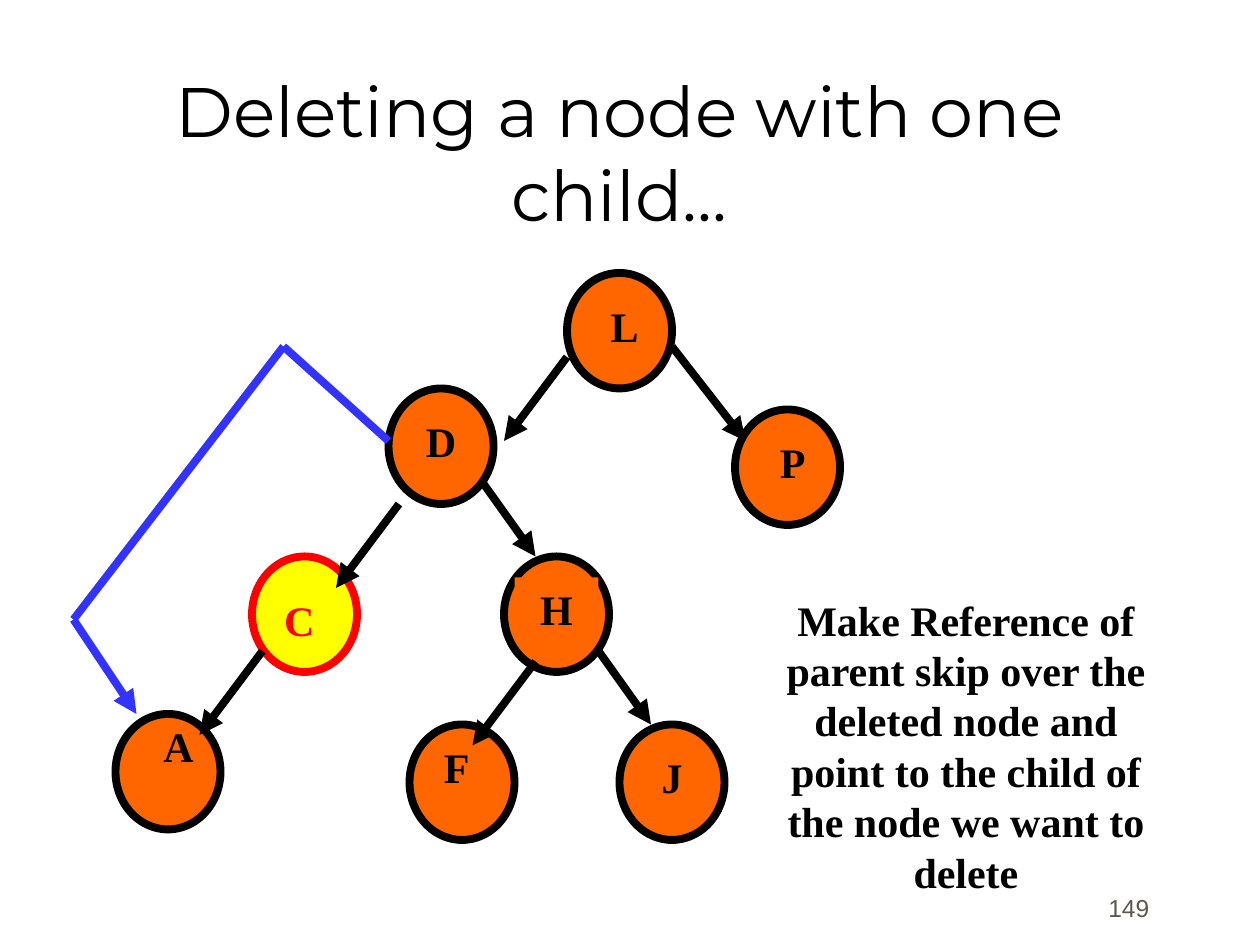
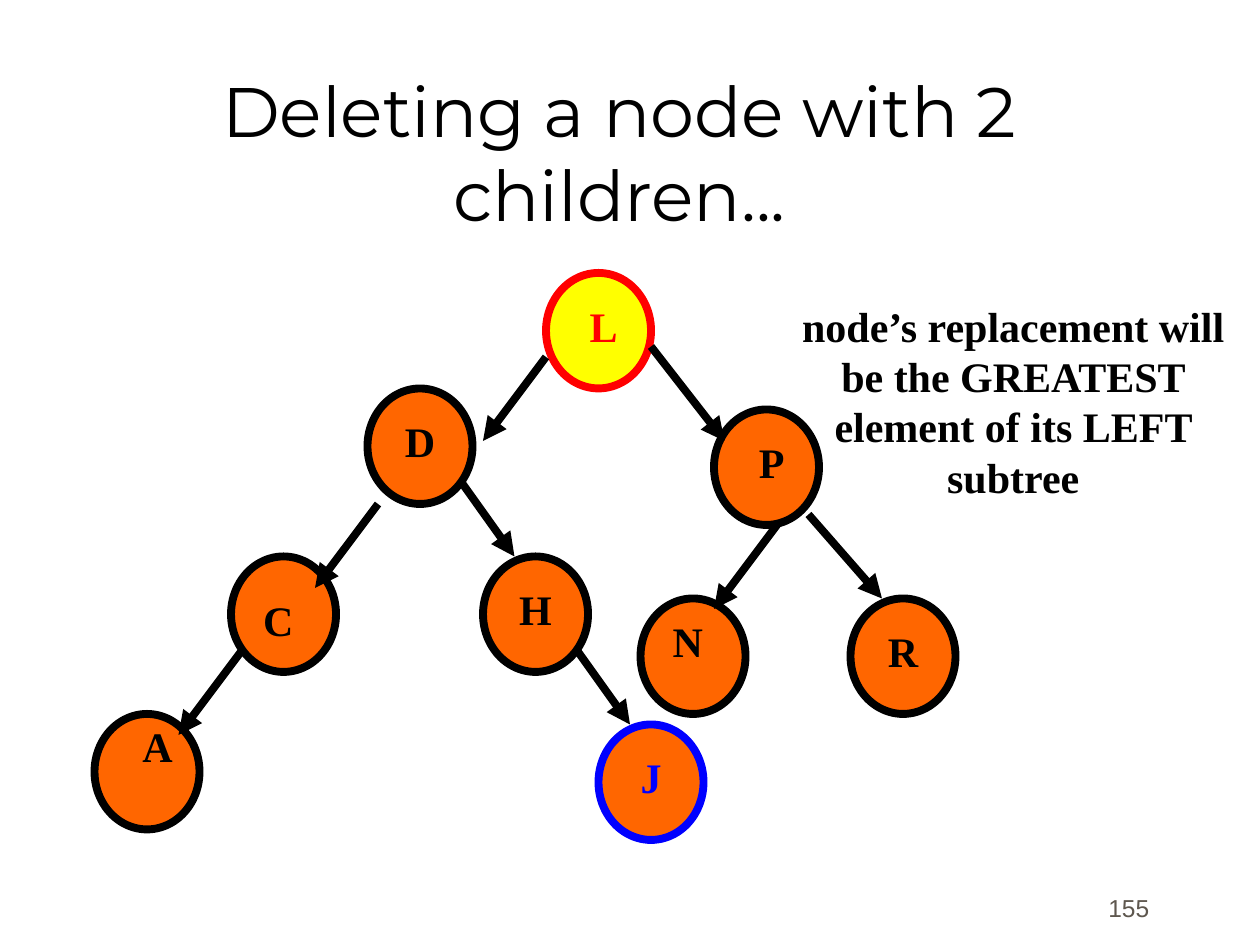
import pptx
import pptx.util
import pptx.dml.color
import pptx.enum.shapes
import pptx.enum.text
import pptx.oxml
import pptx.oxml.ns

Inches = pptx.util.Inches
Pt = pptx.util.Pt
ALIGN = pptx.enum.text.PP_ALIGN
ANCHOR = pptx.enum.text.MSO_ANCHOR
AUTO_SIZE = pptx.enum.text.MSO_AUTO_SIZE

BLACK, RED, BLUE, BYPASS_BLUE = "000000", "FF0000", "0000FF", "3333FF"
ORANGE, YELLOW, GREY = "FF6600", "FFFF00", "5E574E"

# The tree lies on a grid of 1/12 inch.
NODE_WIDTH, NODE_HEIGHT = 10, 11
LABEL_HEIGHT = 6

# node: (left, top), (label offset right, label offset down, label width)
NODES = {
    "L": ((54, 26), (2, 2, 7)),
    "D": ((37, 37), (2, 2, 6)),
    "P": ((70, 39), (2, 2, 7)),
    "H": ((48, 53), (1, 2, 8)),
    "C": ((24, 53), (1, 3, 7)),
    "F": ((39, 69), (1, 1, 7)),
    "J": ((59, 69), (1, 2, 8)),
    "A": ((11, 68), (2, 0, 8)),
    "N": ((63, 57), (1, 1, 7)),
    "R": ((83, 57), (1, 2, 8)),
}

# parent and child: start, end
EDGES = {
    "CA": ((25, 62), (19, 70)),
    "DC": ((38, 48), (32, 56)),
    "LD": ((54, 34), (48, 42)),
    "HF": ((51, 63), (45, 71)),
    "DH": ((46, 46), (51, 53)),
    "HJ": ((57, 62), (62, 69)),
    "LP": ((64, 33), (71, 42)),
    "PN": ((76, 50), (70, 58)),
    "PR": ((79, 49), (86, 57)),
}


def rgb(value):
    return pptx.dml.color.RGBColor.from_string(value)


def grid(units):
    return Inches(units / 12)


class TreeDeck:
    def __init__(self):
        self.presentation = pptx.Presentation()
        self.presentation.slide_width = Inches(10)
        self.presentation.slide_height = Inches(7.5)
        self.slide = None
        self.shift = 0

    def new_slide(self, title, number, shift=0):
        """Start a slide whose tree is moved right by shift grid units."""
        self.slide = self.presentation.slides.add_slide(
            self.presentation.slide_layouts[5])
        self.shift = shift
        heading = self.slide.shapes.title
        heading.left, heading.top = grid(8), grid(8)
        heading.width, heading.height = grid(102), grid(15)
        self.set_text(heading, title, "Montserrat", 40, anchor=ANCHOR.BOTTOM)
        page = self.slide.shapes.add_textbox(
            Inches(7.22), Inches(6.81), Inches(2), Inches(0.56))
        self.set_text(page, number, "Arial", 14, GREY, ALIGN.RIGHT,
                      ANCHOR.BOTTOM)

    def set_text(self, box, text, font, size, color=BLACK, align=ALIGN.CENTER,
                 anchor=ANCHOR.TOP, bold=False, auto_size=AUTO_SIZE.NONE):
        frame = box.text_frame
        frame.text = text
        frame.word_wrap = True
        frame.auto_size = auto_size
        frame.vertical_anchor = anchor
        paragraph = frame.paragraphs[0]
        paragraph.alignment = align
        paragraph.font.name = font
        paragraph.font.size = Pt(size)
        paragraph.font.bold = bold
        paragraph.font.color.rgb = rgb(color)

    def caption(self, text, left, top, width, height, color=BLACK):
        box = self.slide.shapes.add_textbox(
            grid(left + self.shift), grid(top), grid(width), grid(height))
        self.set_text(box, text, "Times New Roman", 24, color, bold=True,
                      auto_size=AUTO_SIZE.SHAPE_TO_FIT_TEXT)
        return box

    def node(self, key, fill=ORANGE, outline=BLACK):
        (left, top), _ = NODES[key]
        circle = self.slide.shapes.add_shape(
            pptx.enum.shapes.MSO_SHAPE.OVAL, grid(left + self.shift),
            grid(top), grid(NODE_WIDTH), grid(NODE_HEIGHT))
        circle.shadow.inherit = False
        circle.fill.solid()
        circle.fill.fore_color.rgb = rgb(fill)
        circle.line.color.rgb = rgb(outline)
        circle.line.width = Pt(4.5)

    def label(self, key, color=BLACK):
        (left, top), (right, down, width) = NODES[key]
        return self.caption(key, left + right, top + down, width,
                            LABEL_HEIGHT, color)

    def link(self, start, end, color=BLACK, arrow=True):
        line = self.slide.shapes.add_connector(
            pptx.enum.shapes.MSO_CONNECTOR.STRAIGHT,
            grid(start[0] + self.shift), grid(start[1]),
            grid(end[0] + self.shift), grid(end[1]))
        line.line.color.rgb = rgb(color)
        line.line.width = Pt(4.5)
        properties = line._element.spPr
        if arrow:
            tail = pptx.oxml.parse_xml(
                f'<a:tailEnd {pptx.oxml.ns.nsdecls("a")} type="triangle"/>')
            properties.find(pptx.oxml.ns.qn("a:ln")).append(tail)
        properties.append(pptx.oxml.parse_xml(
            f'<a:effectLst {pptx.oxml.ns.nsdecls("a")}/>'))

    def tree(self, keys, node_styles, label_colors):
        """Draw nodes, the edges among them and labels; return the labels."""
        for key in keys:
            self.node(key, *node_styles.get(key, ()))
        for (parent, child), (start, end) in EDGES.items():
            if parent in keys and child in keys:
                self.link(start, end)
        return {key: self.label(key, label_colors.get(key, BLACK))
                for key in keys}


def one_child(deck):
    deck.new_slide("Deleting a node with one child...", "149")
    labels = deck.tree("LDPHCFJA", {"C": (YELLOW, RED)}, {"C": RED})
    labels["H"].fill.solid()
    labels["H"].fill.fore_color.rgb = rgb(ORANGE)
    deck.caption("Make Reference of parent skip over the deleted node and "
                 "point to the child of the node we want to delete",
                 73, 56, 38, 30)
    bypass = [(37, 42), (27, 33), (7, 59), (13, 68)]
    for start, end in zip(bypass, bypass[1:]):
        deck.link(start, end, BYPASS_BLUE, arrow=end == bypass[-1])


def two_children(deck):
    deck.new_slide("Deleting a node with 2 children...", "155", shift=-2)
    deck.tree("LDPHCJANR", {"L": (YELLOW, RED), "J": (ORANGE, BLUE)},
              {"L": RED, "J": BLUE})
    deck.caption("node’s replacement will be the GREATEST element of its "
                 "LEFT subtree", 77, 28, 43, 20.4)


def main():
    deck = TreeDeck()
    one_child(deck)
    two_children(deck)
    deck.presentation.save("out.pptx")


if __name__ == "__main__":
    main()
